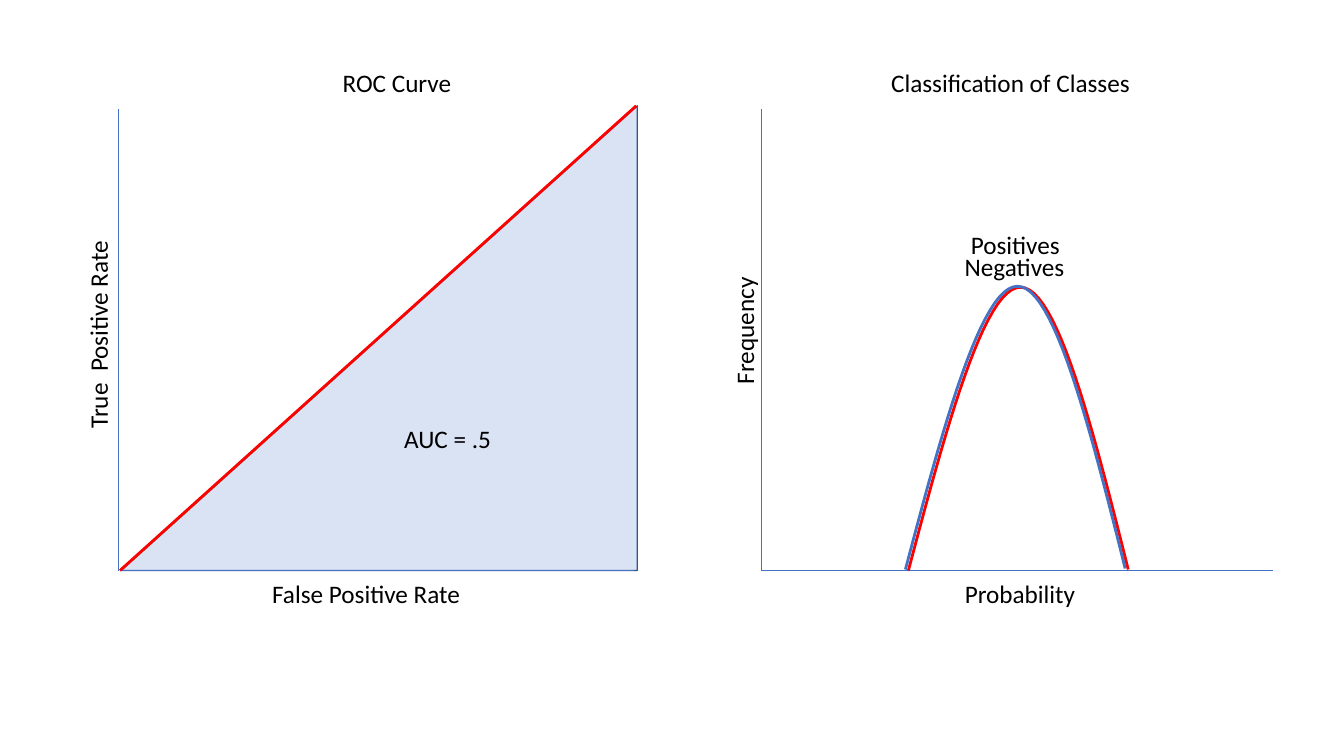
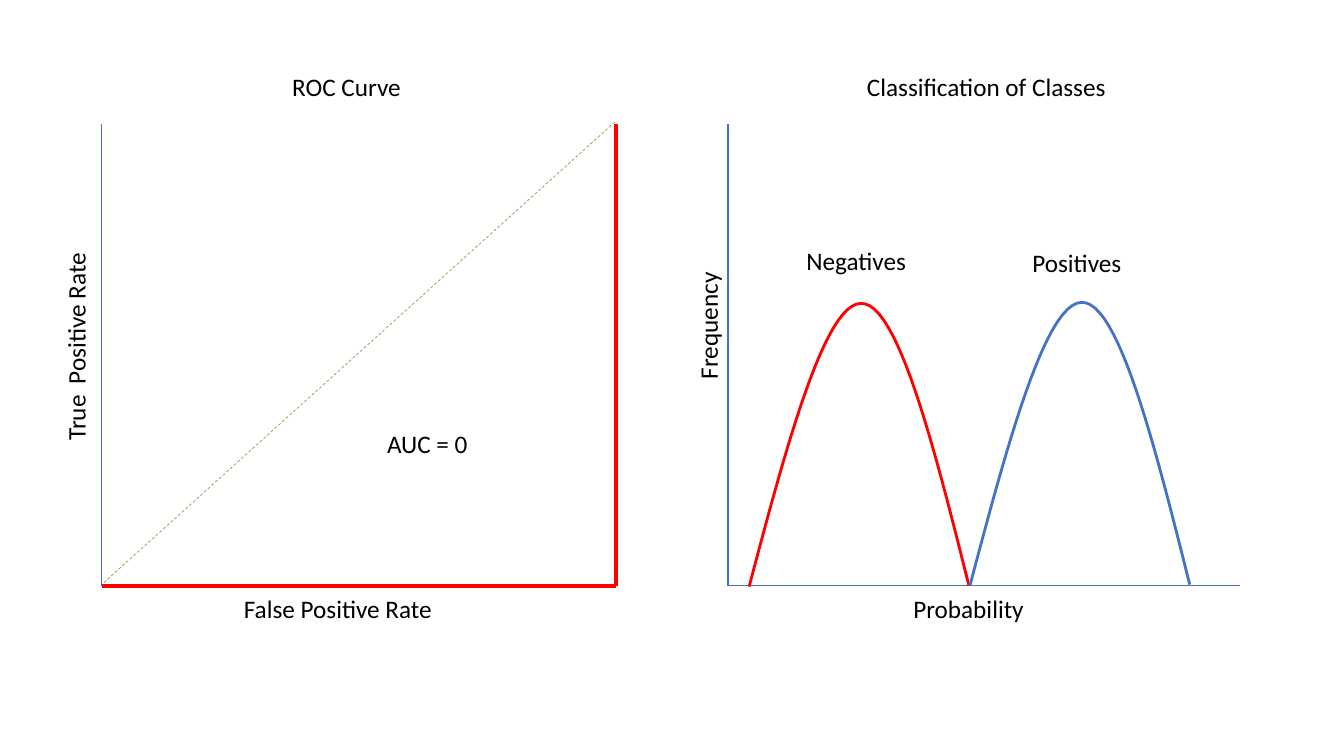
from dataclasses import dataclass

from lxml import etree
from pptx import Presentation
from pptx import util as u
from pptx.dml.color import RGBColor
from pptx.enum import dml, shapes, text
from pptx.oxml.ns import qn


@dataclass(frozen=True)
class Theme:
    font: str = "Calibri"
    size: int = 18
    ink: str = "000000"
    blue: str = "4472C4"
    red: str = "FF0000"
    green: str = "70AD47"
    pale: str = "DAE3F3"
    edge: str = "325491"


T = Theme()
SLIDE_W, SLIDE_H = 13.33, 7.5
PLOT_W, PLOT_H = 5.08, 4.58
LABEL_H = 0.4
BELL = [
    ((0, 0), (0.37, -1.4), (0.75, -2.81), (1.11, -2.81)),
    ((1.11, -2.81), (1.47, -2.82), (1.83, -1.41), (2.18, -0.01)),
]
BELL_STEPS = 24

# name: (width, rotation, wraps)
LABELS = {
    "False Positive Rate": (3.85, 0, True),
    "True  Positive Rate": (2.3, 270, True),
    "AUC = .5": (1.07, 0, False),
    "AUC = 0": (1.01, 0, False),
    "ROC Curve": (2.29, 0, True),
    "Negatives": (1.26, 0, False),
    "Positives": (1.15, 0, False),
    "Classification of Classes": (2.6, 0, False),
    "Frequency": (1.28, 270, False),
    "Probability": (1.59, 0, True),
}

SLIDES = [
    {
        "area": (1.2, 1.05, 5.12, 4.61),
        "axes": [((1.21, 5.66), 1.17, 1.25, 0.5), ((7.55, 5.66), 7.55, 1.25, 1)],
        "diagonal": (1.24, 5.63),
        "roc": [((6.31, 1.05), (1.19, 5.66))],
        "roc_width": 2,
        "bells": [((9.01, 5.66), T.red), ((8.98, 5.65), T.blue)],
        "labels": {
            "False Positive Rate": (2.6, 5.69),
            "True  Positive Rate": (-0.18, 3),
            "AUC = .5": (3.91, 4.15),
            "ROC Curve": (3.3, 0.62),
            "Negatives": (9.47, 2.44),
            "Positives": (9.53, 2.23),
            "Classification of Classes": (8.74, 0.62),
            "Frequency": (6.74, 3.07),
            "Probability": (9.47, 5.69),
        },
    },
    {
        "area": None,
        "axes": [((1.01, 5.81), 1.01, 1.25, 0.5), ((7.22, 5.81), 7.22, 1, 1)],
        "diagonal": (1.03, 5.78),
        "roc": [((1.01, 5.81), (6.11, 5.81)), ((6.11, 1.23), (6.11, 5.81))],
        "roc_width": 3,
        "bells": [((7.43, 5.82), T.red), ((9.62, 5.81), T.blue)],
        "labels": {
            "False Positive Rate": (2.32, 5.84),
            "True  Positive Rate": (-0.4, 3.12),
            "AUC = 0": (3.74, 4.2),
            "ROC Curve": (2.8, 0.66),
            "Negatives": (7.9, 2.38),
            "Positives": (10.14, 2.4),
            "Classification of Classes": (8.5, 0.66),
            "Frequency": (6.38, 3.02),
            "Probability": (8.96, 5.84),
        },
    },
]


def inches(*values):
    return [u.Inches(v) for v in values]


def stroke(sp, color, width):
    sp.line.color.rgb = RGBColor.from_string(color)
    sp.line.width = u.Pt(width)


def add_line(s, start, end, color, width, dash=None):
    cx = s.shapes.add_connector(shapes.MSO_CONNECTOR.STRAIGHT, *inches(*start, *end))
    stroke(cx, color, width)
    if dash:
        cx.line.dash_style = dash
    etree.SubElement(cx._element.spPr, qn("a:effectLst"))


def add_axes(s, origin, axis_x, x_width, y_width):
    x, y = origin
    add_line(s, origin, (x + PLOT_W, y), T.blue, x_width)
    add_line(s, (axis_x, y - PLOT_H), (axis_x, y), T.blue, y_width)


def add_area(s, left, top, width, height):
    x, y = left + (width - height) / 2, top + (height - width) / 2
    sp = s.shapes.add_shape(shapes.MSO_SHAPE.RIGHT_TRIANGLE, *inches(x, y, height, width))
    sp.rotation = 270
    sp.shadow.inherit = False
    sp.fill.solid()
    sp.fill.fore_color.rgb = RGBColor.from_string(T.pale)
    stroke(sp, T.edge, 1)


def bezier(points, t):
    weights = ((1 - t) ** 3, 3 * t * (1 - t) ** 2, 3 * t**2 * (1 - t), t**3)
    return [sum(w * p[i] for w, p in zip(weights, points)) for i in (0, 1)]


def add_bell(s, start, color):
    steps = [i / BELL_STEPS for i in range(1, BELL_STEPS + 1)]
    curve = [bezier(part, t) for part in BELL for t in steps]
    points = [inches(start[0] + x, start[1] + y) for x, y in curve]
    builder = s.shapes.build_freeform(*inches(*start))
    builder.add_line_segments(points, close=False)
    sp = builder.convert_to_shape()
    sp.shadow.inherit = False
    sp.fill.background()
    stroke(sp, color, 2)


def add_label(s, words, left, top):
    width, rotation, wraps = LABELS[words]
    sp = s.shapes.add_textbox(*inches(left, top, width, LABEL_H))
    sp.rotation = rotation
    tf = sp.text_frame
    tf.word_wrap = wraps
    tf.auto_size = text.MSO_AUTO_SIZE.SHAPE_TO_FIT_TEXT
    tf.text = words
    font = tf.paragraphs[0].runs[0].font
    font.name, font.size = T.font, u.Pt(T.size)
    font.color.rgb = RGBColor.from_string(T.ink)


def build_slide(prs, content):
    s = prs.slides.add_slide(prs.slide_layouts[6])
    if content["area"]:
        add_area(s, *content["area"])
    for axes in content["axes"]:
        add_axes(s, *axes)
    x, y = content["diagonal"]
    add_line(s, (x, y), (x + PLOT_W, y - PLOT_H), T.green, 0.5, dml.MSO_LINE.DASH)
    for start, end in content["roc"]:
        add_line(s, start, end, T.red, content["roc_width"])
    for start, color in content["bells"]:
        add_bell(s, start, color)
    for words, place in content["labels"].items():
        add_label(s, words, *place)


def main():
    prs = Presentation()
    prs.slide_width, prs.slide_height = inches(SLIDE_W, SLIDE_H)
    for content in SLIDES:
        build_slide(prs, content)
    prs.save("out.pptx")


if __name__ == "__main__":
    main()
